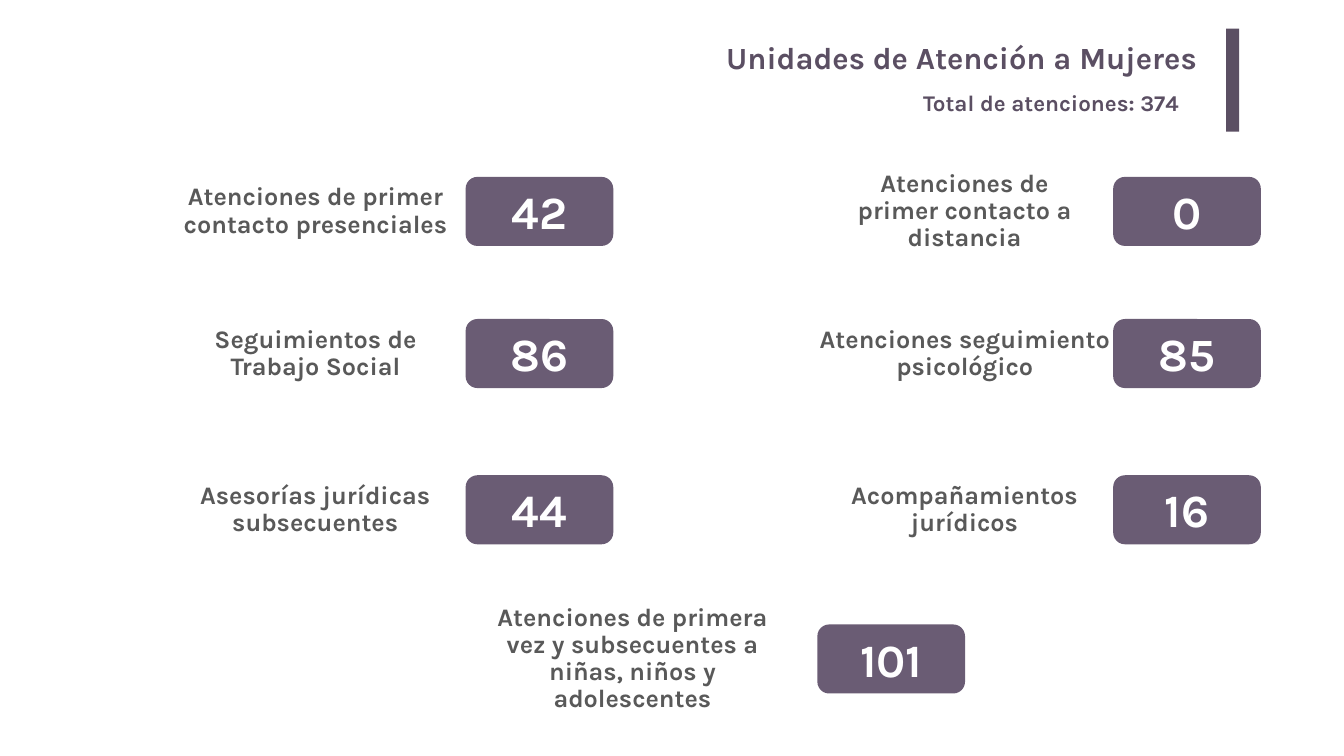
from pptx import Presentation
from pptx.dml.color import RGBColor
from pptx.enum.shapes import MSO_SHAPE
from pptx.enum.text import MSO_ANCHOR, PP_ALIGN
from pptx.util import Inches, Pt

RECTANGLE = MSO_SHAPE.RECTANGLE
ROUNDED = MSO_SHAPE.ROUNDED_RECTANGLE
LEFT, CENTER, RIGHT = PP_ALIGN.LEFT, PP_ALIGN.CENTER, PP_ALIGN.RIGHT
TOP, MIDDLE = MSO_ANCHOR.TOP, MSO_ANCHOR.MIDDLE
FONT = "Karla"
COLORS = {"heading": "5B4F63", "card": "6A5C74", "label": "595959", "value": "FFFFFF"}

presentation = Presentation()
presentation.slide_width = Inches(26.67)
presentation.slide_height = Inches(15)
slide = presentation.slides.add_slide(presentation.slide_layouts[6])


def add_text(text, *, box, size, color, align=LEFT, anchor=TOP, spacing=1.0, inset=0.1):
    shape = slide.shapes.add_textbox(*map(Inches, box))
    frame = shape.text_frame
    frame.word_wrap = True
    frame.vertical_anchor = anchor
    frame.margin_left = frame.margin_right = Inches(inset)
    frame.margin_top = frame.margin_bottom = Inches(inset / 2)
    paragraph = frame.paragraphs[0]
    paragraph.alignment = align
    paragraph.line_spacing = spacing
    run = paragraph.add_run()
    run.text = text
    run.font.name = FONT
    run.font.size = Pt(size)
    run.font.bold = True
    run.font.color.rgb = RGBColor.from_string(COLORS[color])


def add_block(kind, *, box, color):
    shape = slide.shapes.add_shape(kind, *map(Inches, box))
    shape.shadow.inherit = False
    shape.fill.solid()
    shape.fill.fore_color.rgb = RGBColor.from_string(COLORS[color])
    shape.line.fill.background()
    return shape


add_text("Unidades de Atención a Mujeres", box=(3.66, 0.67, 20.3, 1.02),
         size=44, color="heading", align=RIGHT, inset=0.2)
add_block(RECTANGLE, box=(24.33, 0.57, 0.26, 2.04), color="heading")
add_text("Total de atenciones: 374", box=(18.22, 1.71, 5.92, 0.64),
         size=32, color="heading")

CARD_WIDTH, CARD_HEIGHT = 2.93, 1.37
VALUE_WIDTH, VALUE_HEIGHT = 2.04, 1.21
LEFT_CARD, MIDDLE_CARD, RIGHT_CARD = 9.24, 16.22, 22.09
ROW_TOPS = [3.51, 6.33, 9.43, 12.39]

indicators = [
    ("Atenciones de primer contacto presenciales", "42", LEFT_CARD, 0, 3.52, 5.48),
    ("Atenciones de primer contacto a distancia", "0", RIGHT_CARD, 0, 16.56, 5.16),
    ("Seguimientos de Trabajo Social", "86", LEFT_CARD, 1, 3.47, 5.58),
    ("Atenciones seguimiento psicológico", "85", RIGHT_CARD, 1, 15.24, 7.81),
    ("Asesorías jurídicas subsecuentes", "44", LEFT_CARD, 2, 3.23, 6.05),
    ("Acompañamientos jurídicos", "16", RIGHT_CARD, 2, 15.91, 6.46),
    ("Atenciones de primera vez y subsecuentes a niñas, niños y adolescentes",
     "101", MIDDLE_CARD, 3, 9.55, 6),
]

for label, value, card_left, row, label_left, label_width in indicators:
    top = ROW_TOPS[row]
    card = add_block(ROUNDED, box=(card_left, top, CARD_WIDTH, CARD_HEIGHT), color="card")
    card.adjustments[0] = 0.17
    add_text(label, box=(label_left, top, label_width, CARD_HEIGHT), size=36,
             color="label", align=CENTER, anchor=MIDDLE, spacing=0.9)
    value_left = card_left + (CARD_WIDTH - VALUE_WIDTH) / 2
    value_top = top + (CARD_HEIGHT - VALUE_HEIGHT) / 2
    add_text(value, box=(value_left, value_top, VALUE_WIDTH, VALUE_HEIGHT),
             size=66, color="value", align=CENTER)

presentation.save("out.pptx")
